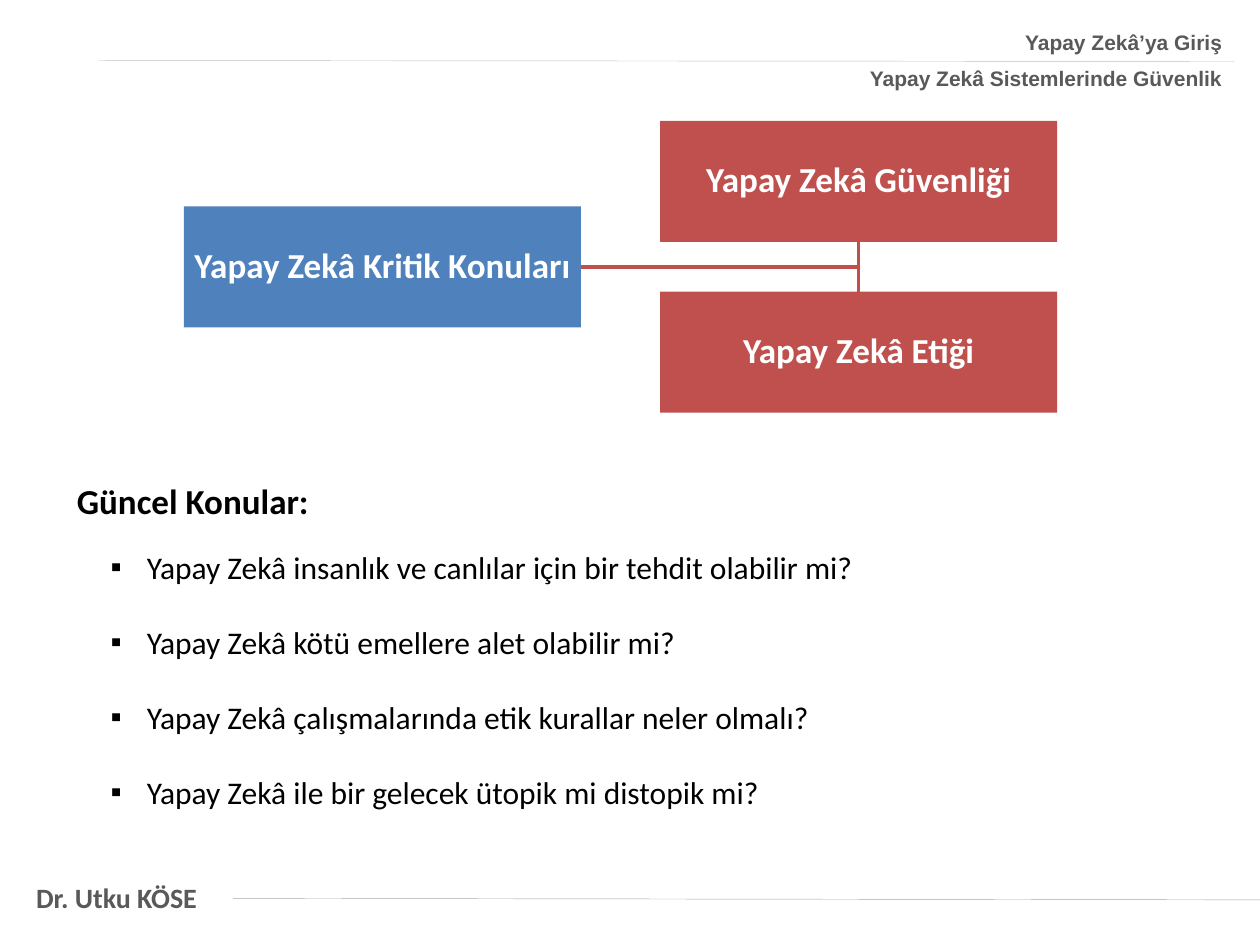
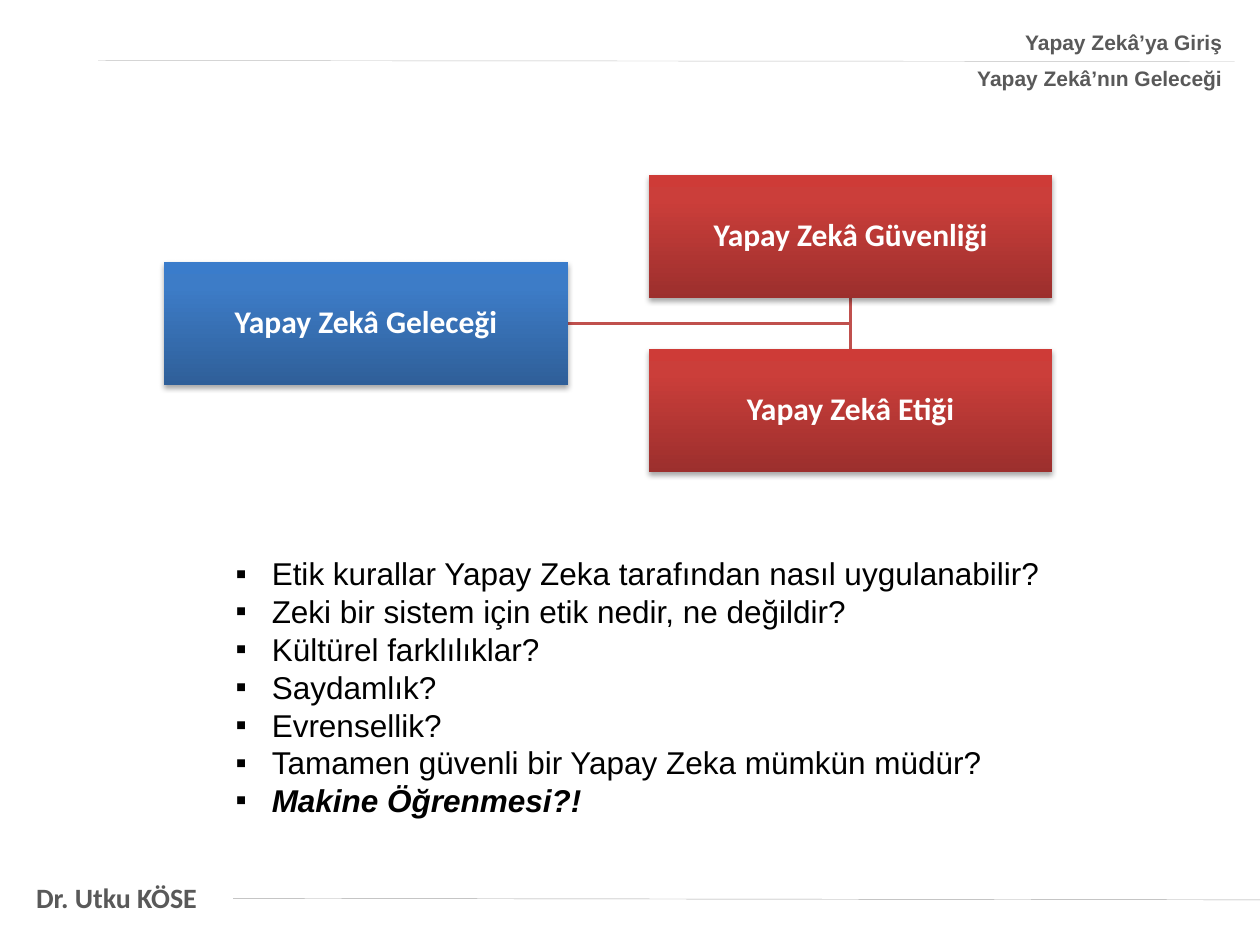
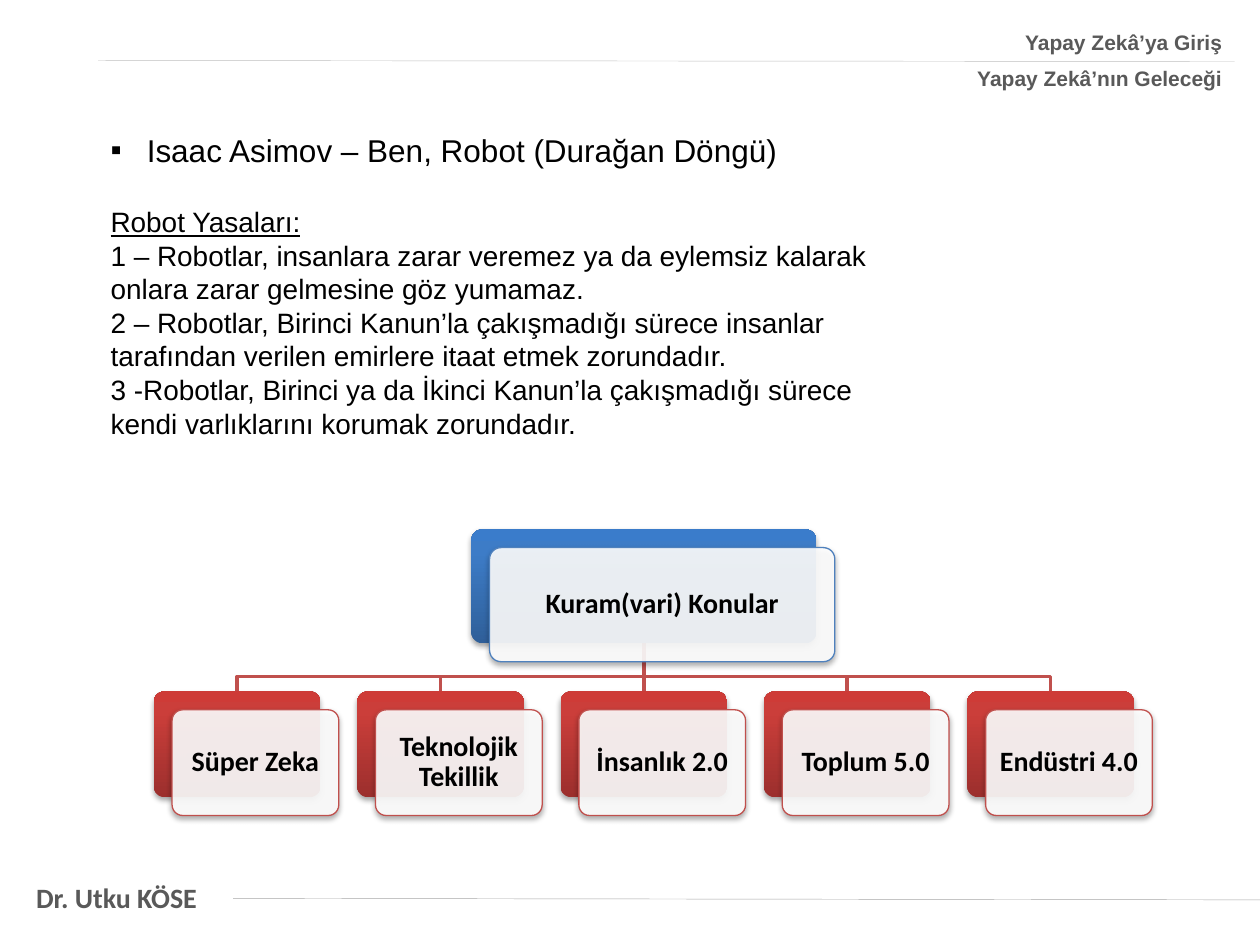
from dataclasses import dataclass

from pptx import Presentation
from pptx.dml.color import RGBColor
from pptx.enum.shapes import MSO_CONNECTOR as Connector, MSO_SHAPE as Preset
from pptx.enum.text import MSO_ANCHOR as Anchor, MSO_AUTO_SIZE as AutoSize, PP_ALIGN as Align
from pptx.oxml import parse_xml
from pptx.oxml.ns import nsdecls, qn
from pptx.util import Cm, Pt


@dataclass(frozen=True)
class Theme:
    sans: str = "Arial"
    body: str = "Calibri"
    black: str = "000000"
    white: str = "FFFFFF"
    grey: str = "595959"
    header_rule: str = "BFBFBF"
    footer_rule: str = "A6A6A6"
    blue: str = "4F81BD"
    red: str = "C0504D"
    blue_shades: tuple = ("2F5F99", "3D7CC7", "3A7CCB")
    red_shades: tuple = ("9C2F2D", "CB3E3A", "CE3B37")
    header_size: float = 12
    small: float = 16
    medium: float = 18
    large: float = 20
    rule_width: float = 0.25
    link_width: float = 2


class Deck:
    course = "Yapay Zekâ’ya Giriş"
    lecturer = "Dr. Utku KÖSE"

    def __init__(self, theme):
        self.theme = theme
        self.presentation = Presentation()
        self.presentation.slide_width = Cm(25.4)
        self.presentation.slide_height = Cm(19.05)
        self.slide = None

    def new_slide(self, topic):
        theme = self.theme
        layout = self.presentation.slide_layouts[6]
        self.slide = self.presentation.slides.add_slide(layout)
        footer = self.text(0.48, 17.63, 3.81, 0.94, [self.lecturer], theme.body,
                           theme.small, theme.grey, bold=True)
        footer.word_wrap = False
        self.line(4.7, 18.11, 25.4, 18.14, theme.footer_rule, theme.rule_width)
        self.line(1.98, 1.22, 24.89, 1.24, theme.header_rule, theme.rule_width)
        header = self.text(13.43, 0.48, 11.46, 1.5, [self.course, topic], theme.sans,
                           theme.header_size, theme.grey, bold=True)
        for paragraph in header.paragraphs:
            paragraph.alignment = Align.RIGHT
            paragraph.space_after = Pt(6)

    def style_runs(self, paragraph, font, size, color, bold=False):
        for run in paragraph.runs:
            run.font.name = font
            run.font.size = Pt(size)
            run.font.bold = bold
            run.font.color.rgb = RGBColor.from_string(color)

    def text(self, left, top, width, height, lines, font, size, color=Theme.black, bold=False):
        box = self.slide.shapes.add_textbox(Cm(left), Cm(top), Cm(width), Cm(height))
        text_frame = box.text_frame
        text_frame.word_wrap = True
        text_frame.auto_size = AutoSize.SHAPE_TO_FIT_TEXT
        text_frame.text = "\n".join(lines)
        for paragraph in text_frame.paragraphs:
            self.style_runs(paragraph, font, size, color, bold)
        return text_frame

    def bullet(self, paragraph):
        properties = paragraph._p.get_or_add_pPr()
        properties.set("marL", str(Cm(0.73)))
        properties.set("indent", str(-Cm(0.73)))
        properties.append(parse_xml(f'<a:buFont {nsdecls("a")} typeface="Arial"/>'))
        properties.append(parse_xml(f'<a:buChar {nsdecls("a")} char="▪"/>'))

    def bullets(self, left, top, width, height, lines, font, gap=0):
        text_frame = self.text(left, top, width, height, lines, font, self.theme.medium)
        for index, paragraph in enumerate(text_frame.paragraphs):
            self.bullet(paragraph)
            if index and gap:
                paragraph.space_before = Pt(gap)
        return text_frame

    def line(self, x1, y1, x2, y2, color, width):
        connector = self.slide.shapes.add_connector(
            Connector.STRAIGHT, Cm(x1), Cm(y1), Cm(x2), Cm(y2))
        connector.line.color.rgb = RGBColor.from_string(color)
        connector.line.width = Pt(width)
        connector._element.spPr.append(parse_xml(f'<a:effectLst {nsdecls("a")}/>'))
        return connector

    def link(self, *points):
        start, *rest = [(Cm(x), Cm(y)) for x, y in points]
        builder = self.slide.shapes.build_freeform(*start)
        builder.add_line_segments(rest, close=False)
        shape = builder.convert_to_shape()
        shape.shadow.inherit = False
        shape.fill.background()
        shape.line.color.rgb = RGBColor.from_string(self.theme.red)
        shape.line.width = Pt(self.theme.link_width)

    def block(self, preset, left, top, width, height, color=None, shades=None):
        shape = self.slide.shapes.add_shape(preset, Cm(left), Cm(top), Cm(width), Cm(height))
        if preset == Preset.ROUNDED_RECTANGLE:
            shape.adjustments[0] = 0.1
        shape.shadow.inherit = False
        shape.line.fill.background()
        if shades:
            self.gradient(shape, shades)
            self.drop_shadow(shape)
        else:
            shape.fill.solid()
            shape.fill.fore_color.rgb = RGBColor.from_string(color)
        return shape

    def gradient(self, shape, shades):
        stops = "".join(f'<a:gs pos="{position}"><a:srgbClr val="{shade}"/></a:gs>'
                        for position, shade in zip((0, 80000, 100000), shades))
        shape._element.spPr.insert(2, parse_xml(
            f'<a:gradFill {nsdecls("a")} rotWithShape="1"><a:gsLst>{stops}</a:gsLst>'
            '<a:lin ang="16200000" scaled="0"/></a:gradFill>'))

    def drop_shadow(self, shape):
        shape._element.spPr.find(qn("a:effectLst")).append(parse_xml(
            f'<a:outerShdw {nsdecls("a")} blurRad="40000" dist="23000" dir="5400000" '
            f'rotWithShape="0"><a:srgbClr val="{self.theme.black}"><a:alpha val="35000"/>'
            '</a:srgbClr></a:outerShdw>'))

    def label(self, shape, text, size, color, inset):
        text_frame = shape.text_frame
        text_frame.word_wrap = True
        text_frame.vertical_anchor = Anchor.MIDDLE
        text_frame.margin_left = text_frame.margin_right = Cm(inset)
        text_frame.margin_top = text_frame.margin_bottom = Cm(inset)
        text_frame.text = text
        paragraph = text_frame.paragraphs[0]
        paragraph.alignment = Align.CENTER
        paragraph.line_spacing = 0.9
        self.style_runs(paragraph, self.theme.body, size, color, bold=True)

    def branch(self, left, top, width, root, children, size, shaded=False):
        theme = self.theme
        height, gap = 0.305 * width, 0.125 * width
        child_left = left + 1.2 * width
        middle = top + height + gap / 2
        center = child_left + width / 2
        for end in (middle + gap / 2, middle - gap / 2):
            self.link((left + width, middle), (center, middle), (center, end))
        blocks = [(root, left, middle - height / 2, theme.blue, theme.blue_shades)]
        blocks += [(child, child_left, top + index * (height + gap), theme.red, theme.red_shades)
                   for index, child in enumerate(children)]
        for text, x, y, color, shades in blocks:
            shape = self.block(Preset.RECTANGLE, x, y, width, height, color,
                               shades if shaded else None)
            self.label(shape, text, size, theme.white, 0.03)

    def card(self, left, top, width, height, text, color, shades):
        theme = self.theme
        offset = 0.37
        back = self.block(Preset.ROUNDED_RECTANGLE, left, top, width, height, shades=shades)
        front = self.block(Preset.ROUNDED_RECTANGLE, left + offset, top + offset,
                           width, height, theme.white)
        fill = front._element.spPr.find(qn("a:solidFill"))
        fill[0].append(parse_xml(f'<a:alpha {nsdecls("a")} val="90000"/>'))
        front.line.color.rgb = RGBColor.from_string(color)
        front.line.width = Pt(0.75)
        self.drop_shadow(front)
        self.label(front, text, theme.small, theme.black, 0.18)
        return back

    def tree(self, root, children):
        theme = self.theme
        left, pitch, child_width, child_top, child_height = 3.1, 4.1, 3.36, 13.94, 2.13
        root_width, root_top, root_height = 6.96, 10.67, 2.3
        bus = 13.64
        bottom = root_top + root_height
        lefts = [left + index * pitch for index in range(len(children))]
        central = len(children) // 2
        center = lefts[central] + child_width / 2
        for child_left in lefts[:central] + lefts[central + 1:]:
            x = child_left + child_width / 2
            self.link((center, bottom), (center, bus), (x, bus), (x, child_top))
        trunk = self.line(center, bottom, center, child_top, theme.red, theme.link_width)
        root_card = self.card(center - root_width / 2, root_top, root_width, root_height,
                              root, theme.blue, theme.blue_shades)
        cards = [self.card(child_left, child_top, child_width, child_height, child,
                           theme.red, theme.red_shades)
                 for child_left, child in zip(lefts, children)]
        trunk.begin_connect(root_card, 2)
        trunk.end_connect(cards[central], 0)


def security_slide(deck):
    theme = deck.theme
    deck.new_slide("Yapay Zekâ Sistemlerinde Güvenlik")
    deck.branch(3.71, 2.44, 8, "Yapay Zekâ Kritik Konuları",
                ["Yapay Zekâ Güvenliği", "Yapay Zekâ Etiği"], theme.large)
    deck.text(1.3, 9.55, 11.81, 1.12, ["Güncel Konular:"], theme.body, theme.large, bold=True)
    deck.bullets(1.98, 10.92, 19.81, 5.64, [
        "Yapay Zekâ insanlık ve canlılar için bir tehdit olabilir mi?",
        "Yapay Zekâ kötü emellere alet olabilir mi?",
        "Yapay Zekâ çalışmalarında etik kurallar neler olmalı?",
        "Yapay Zekâ ile bir gelecek ütopik mi distopik mi?",
    ], theme.body, gap=21.3)


def future_slide(deck):
    theme = deck.theme
    deck.new_slide("Yapay Zekâ’nın Geleceği")
    deck.branch(3.31, 3.53, 8.14, "Yapay Zekâ Geleceği",
                ["Yapay Zekâ Güvenliği", "Yapay Zekâ Etiği"], theme.medium, shaded=True)
    questions = deck.bullets(4.5, 11.05, 16.79, 5.64, [
        "Etik kurallar Yapay Zeka tarafından nasıl uygulanabilir?",
        "Zeki bir sistem için etik nedir, ne değildir?",
        "Kültürel farklılıklar?",
        "Saydamlık?",
        "Evrensellik?",
        "Tamamen güvenli bir Yapay Zeka mümkün müdür?",
        "Makine Öğrenmesi?!",
    ], theme.sans)
    closing = questions.paragraphs[-1].runs[0].font
    closing.bold = closing.italic = True


def robot_laws_slide(deck):
    theme = deck.theme
    deck.new_slide("Yapay Zekâ’nın Geleceği")
    laws = deck.text(1.98, 2.51, 16.79, 6.5, [
        "Isaac Asimov – Ben, Robot (Durağan Döngü)",
        "Robot Yasaları:",
        "1 – Robotlar, insanlara zarar veremez ya da eylemsiz kalarak onlara zarar "
        "gelmesine göz yumamaz.",
        "2 – Robotlar, Birinci Kanun’la çakışmadığı sürece insanlar tarafından verilen "
        "emirlere itaat etmek zorundadır.",
        "3 -Robotlar, Birinci ya da İkinci Kanun’la çakışmadığı sürece kendi varlıklarını "
        "korumak zorundadır.",
    ], theme.sans, theme.small)
    book, heading = laws.paragraphs[:2]
    deck.bullet(book)
    book.runs[0].font.size = Pt(theme.medium)
    heading.space_before = Pt(20.7)
    heading.runs[0].font.underline = True
    deck.tree("Kuram(vari) Konular", [
        "Süper Zeka", "Teknolojik Tekillik", "İnsanlık 2.0", "Toplum 5.0", "Endüstri 4.0"])


def main():
    deck = Deck(Theme())
    security_slide(deck)
    future_slide(deck)
    robot_laws_slide(deck)
    deck.presentation.save("out.pptx")


if __name__ == "__main__":
    main()
